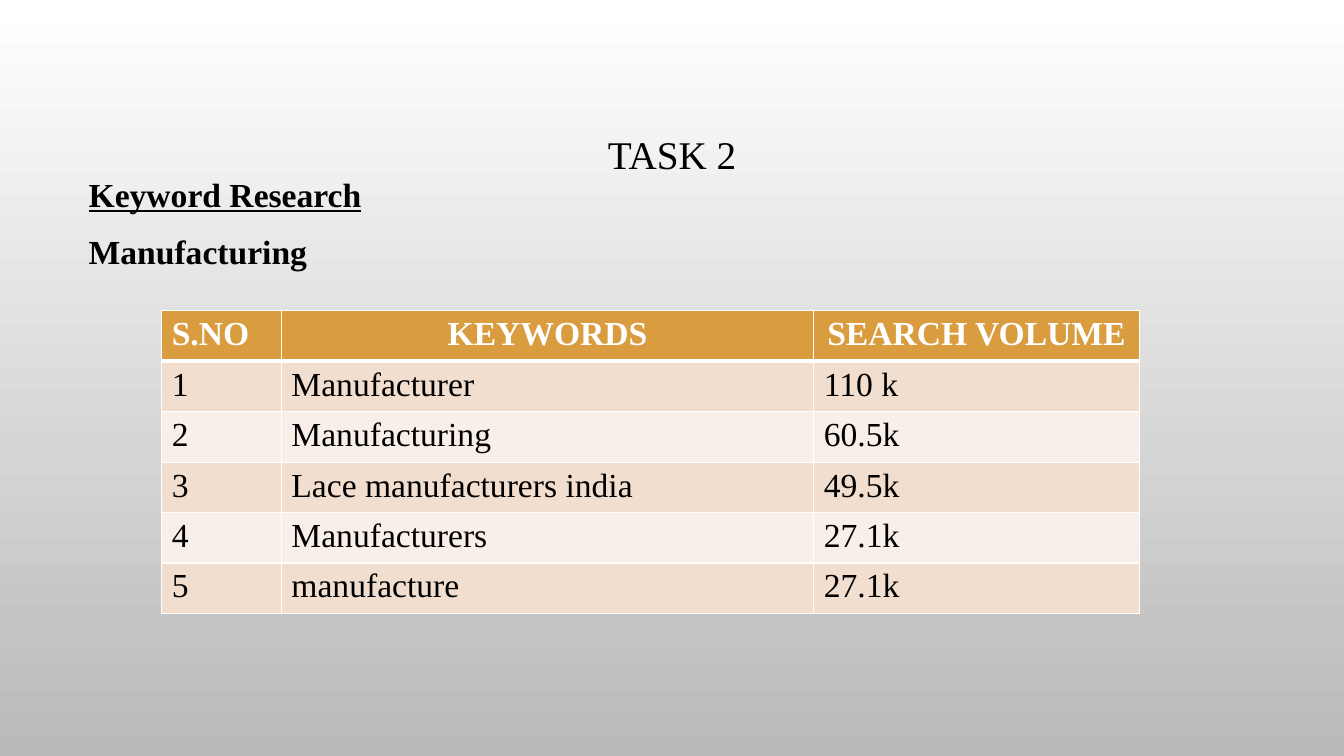
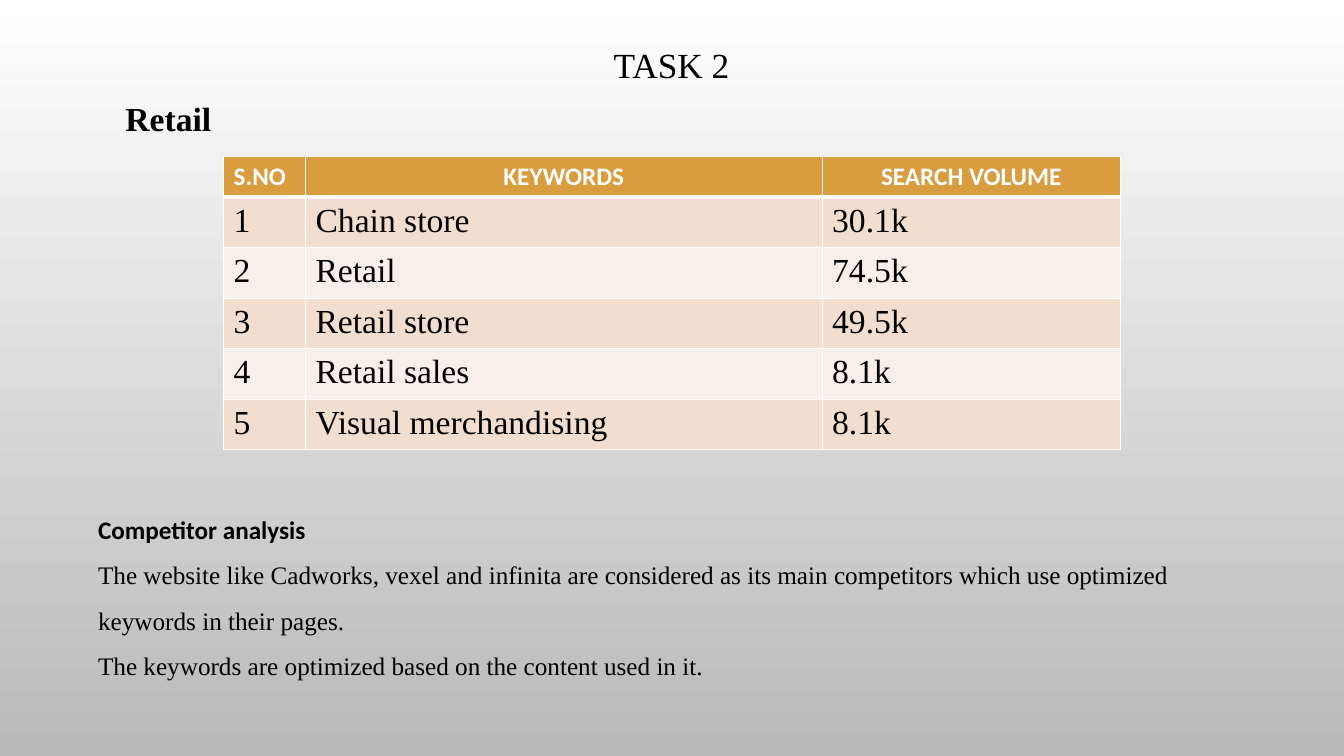
from lxml.etree import SubElement
from pptx import Presentation
from pptx.dml.color import RGBColor as RGB
from pptx.enum.text import MSO_ANCHOR as ANCHOR, PP_ALIGN as ALIGN
from pptx.oxml.ns import qn
from pptx.util import Pt

PX = 9525
COLORS = {
    "ink": "000000", "white": "FFFFFF", "grey": "B9B9B9",
    "header": "D99C3F", "odd": "F1DECF", "even": "F8EFE8",
}
SERIF, SANS = "Times New Roman", "Calibri"
BODY = {"name": SERIF, "size": 24, "bold": False, "color": "ink"}
HEADING = BODY | {"bold": True}
TABLE_HEAD = HEADING | {"color": "white"}
COLUMNS = ("S.NO", "KEYWORDS", "SEARCH VOLUME")


def rgb(name):
    return RGB.from_string(COLORS[name])


class Deck:
    def __init__(self, width, height):
        self.prs = Presentation()
        self.prs.slide_width, self.prs.slide_height = width * PX, height * PX
        self.s = None

    def slide(self):
        self.s = self.prs.slides.add_slide(self.prs.slide_layouts[6])
        fill = self.s.background.fill
        fill.gradient()
        fill.gradient_angle = 270
        for stop, color in zip(fill.gradient_stops, ("white", "grey")):
            stop.color.rgb = rgb(color)

    def put_text(self, p, text, style, align=ALIGN.LEFT, spacing=None):
        p.alignment = align
        if spacing:
            p.line_spacing = spacing
        r = p.add_run()
        r.text = text
        for key, value in style.items():
            if key == "color":
                r.font.color.rgb = rgb(value)
            else:
                setattr(r.font, key, Pt(value) if key == "size" else value)

    def text(self, box, *paragraphs, anchor=ANCHOR.TOP):
        """Each paragraph holds the arguments of put_text after p."""
        tf = self.s.shapes.add_textbox(*(v * PX for v in box)).text_frame
        tf.word_wrap = True
        tf.vertical_anchor = anchor
        for i, args in enumerate(paragraphs):
            p = tf.add_paragraph() if i else tf.paragraphs[0]
            self.put_text(p, *args)

    def title(self, box, text, size):
        style = BODY | {"size": size}
        self.text(box, (text, style, ALIGN.CENTER, 0.9), anchor=ANCHOR.MIDDLE)

    def borders(self, cell, **widths):
        tc_pr = cell._tc.get_or_add_tcPr()
        for i, (side, width) in enumerate(widths.items()):
            ln = SubElement(tc_pr, qn(f"a:ln{side}"), w=str(Pt(width)))
            fill = SubElement(ln, qn("a:solidFill"))
            SubElement(fill, qn("a:srgbClr"), val=COLORS["white"])
            tc_pr.insert(i, ln)

    def table(self, left, top, widths, head_height, row_height, head, rows):
        """Number the rows and set them under the shared column names."""
        data = [COLUMNS] + [(str(i), *row) for i, row in enumerate(rows, 1)]
        heights = [head_height] + [row_height] * len(rows)
        box = (left, top, sum(widths), sum(heights))
        table = self.s.shapes.add_table(
            len(data), len(widths), *(v * PX for v in box)).table
        for col, width in zip(table.columns, widths):
            col.width = width * PX
        for i, (row, height) in enumerate(zip(data, heights)):
            table.rows[i].height = height * PX
            band = "odd" if i % 2 else "even"
            for j, text in enumerate(row):
                cell = table.cell(i, j)
                cell.fill.solid()
                cell.fill.fore_color.rgb = rgb(band if i else "header")
                self.borders(cell, L=1, R=1, T=3 if i == 1 else 1,
                             B=1 if i else 3)
                centred = i == 0 and j > 0
                self.put_text(cell.text_frame.paragraphs[0], text,
                              BODY if i else head,
                              ALIGN.CENTER if centred else ALIGN.LEFT)


def manufacturing(deck):
    deck.slide()
    deck.title((96, 65, 1088, 168), "TASK 2", 28)
    deck.text((75, 215, 640, 48), ("Manufacturing", HEADING))
    deck.table(154, 296, (114, 507, 310), 48, 48, TABLE_HEAD, [
        ("Manufacturer", "110 k"),
        ("Manufacturing", "60.5k"),
        ("Lace manufacturers india", "49.5k"),
        ("Manufacturers", "27.1k"),
        ("manufacture", "27.1k"),
    ])
    deck.text((75, 161, 640, 48),
              ("Keyword Research", HEADING | {"underline": True}))


def retail(deck):
    small = {"size": 18}
    deck.slide()
    deck.title((309, 40, 661, 48), "TASK 2", 25.2)
    deck.text((110, 89, 112, 48), ("Retail", HEADING))
    deck.table(213, 149, (78, 492, 284), 39, 48,
               TABLE_HEAD | small | {"name": SANS}, [
                   ("Chain store", "30.1k"),
                   ("Retail", "74.5k"),
                   ("Retail store", "49.5k"),
                   ("Retail sales", "8.1k"),
                   ("Visual merchandising", "8.1k"),
               ])
    deck.text(
        (84, 485, 1060, 164),
        ("Competitor analysis", HEADING | small | {"name": SANS}),
        ("The website like Cadworks, vexel and infinita are considered as its "
         "main competitors which use optimized keywords in their pages.",
         BODY | small, ALIGN.LEFT, 1.5),
        ("The keywords are optimized based on the content used in it.",
         BODY | small, ALIGN.LEFT, 1.5))


def main():
    deck = Deck(1280, 720)
    manufacturing(deck)
    retail(deck)
    deck.prs.save("out.pptx")


if __name__ == "__main__":
    main()
